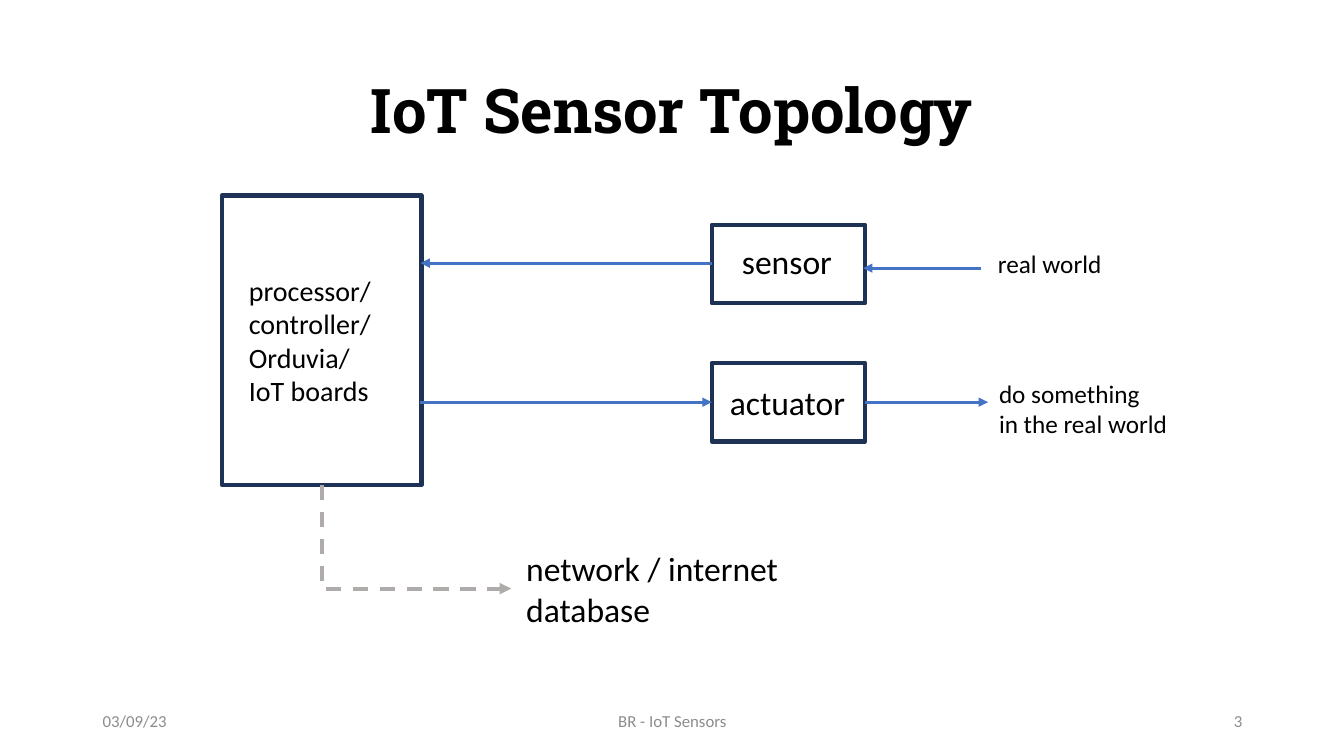
from lxml.etree import SubElement
from pptx import Presentation
from pptx.dml.color import RGBColor
from pptx.enum.dml import MSO_LINE
from pptx.enum.shapes import MSO_CONNECTOR, MSO_SHAPE
from pptx.enum.text import MSO_ANCHOR, MSO_AUTO_SIZE, PP_ALIGN
from pptx.oxml.ns import qn
from pptx.util import Inches, Pt

NAVY, BLUE, WARM, GREY = "1E3256", "4472C4", "AFABAB", "8C8C8C"


def paint(color, value):
    color.rgb = RGBColor.from_string(value)


def write(frame, lines, size, color="000000", font="Calibri",
          align=PP_ALIGN.LEFT, bold=False):
    for i, line in enumerate(lines):
        para = frame.add_paragraph() if i else frame.paragraphs[0]
        para.alignment = align
        run = para.add_run()
        run.text = line
        run.font.size = Pt(size)
        run.font.name = font
        run.font.bold = bold
        paint(run.font.color, color)


def add_title(slide, text):
    title = slide.shapes.title
    title.left, title.top = Inches(0.92), Inches(0.4)
    title.width, title.height = Inches(11.5), Inches(1.45)
    frame = title.text_frame
    frame.auto_size = MSO_AUTO_SIZE.NONE
    frame.vertical_anchor = MSO_ANCHOR.MIDDLE
    write(frame, [text], 44, font="Roboto Slab",
          align=PP_ALIGN.CENTER, bold=True)
    frame.paragraphs[0].line_spacing = 0.9


def add_box(slide, *place):
    box = slide.shapes.add_shape(MSO_SHAPE.RECTANGLE, *map(Inches, place))
    box.shadow.inherit = False
    box.fill.background()
    paint(box.line.color, NAVY)
    box.line.width = Pt(3)


def add_label(slide, place, lines, size):
    label = slide.shapes.add_textbox(*map(Inches, place))
    frame = label.text_frame
    frame.word_wrap = False
    frame.auto_size = MSO_AUTO_SIZE.SHAPE_TO_FIT_TEXT
    write(frame, lines, size)


def add_arrow(slide, ends, color=BLUE, width=2.25,
              kind=MSO_CONNECTOR.STRAIGHT):
    arrow = slide.shapes.add_connector(kind, *map(Inches, ends))
    paint(arrow.line.color, color)
    arrow.line.width = Pt(width)
    SubElement(arrow.line._get_or_add_ln(), qn("a:tailEnd"), type="triangle")
    SubElement(arrow._element.spPr, qn("a:effectLst"))
    return arrow


def add_elbow(slide, x1, y1, x2, y2):
    # The one-corner elbow lies on its side: its frame is turned by 270 degrees
    mid_x, mid_y = (x1 + x2) / 2, (y1 + y2) / 2
    half_w, half_h = (y2 - y1) / 2, (x2 - x1) / 2
    ends = (mid_x + half_w, mid_y - half_h, mid_x - half_w, mid_y + half_h)
    elbow = add_arrow(slide, ends, WARM, 2.75, MSO_CONNECTOR.ELBOW)
    elbow.line.dash_style = MSO_LINE.DASH
    props = elbow._element.spPr
    props.find(qn("a:xfrm")).set("rot", str(270 * 60000))
    props.find(qn("a:prstGeom")).set("prst", "bentConnector2")


def add_footer(slide, left, width, text, align):
    foot = slide.shapes.add_textbox(Inches(left), Inches(6.95),
                                    Inches(width), Inches(0.4))
    frame = foot.text_frame
    frame.word_wrap = True
    frame.vertical_anchor = MSO_ANCHOR.MIDDLE
    write(frame, [text], 12, GREY, align=align)


def main():
    deck = Presentation()
    deck.slide_width, deck.slide_height = Inches(13.33), Inches(7.5)
    slide = deck.slides.add_slide(deck.slide_layouts[5])
    add_title(slide, "IoT Sensor Topology")

    # Processor, sensor and actuator
    add_box(slide, 2.2, 1.94, 1.98, 2.87)
    for top in (2.23, 3.6):
        add_box(slide, 7.06, top, 1.52, 0.78)

    # Signal flow
    for ends in ((7.06, 2.61, 4.17, 2.61), (9.73, 2.66, 8.56, 2.66),
                 (4.17, 3.99, 7.06, 3.99), (8.58, 3.99, 9.8, 3.99)):
        add_arrow(slide, ends)
    add_elbow(slide, 3.19, 4.81, 5.07, 5.84)

    # Labels
    for place, lines, size in (
        ((2.37, 2.66, 1.46, 1.45),
         ["processor/", "controller/", "Orduvia/", "IoT boards"], 20),
        ((7.26, 2.34, 1.1, 0.5), ["sensor"], 24),
        ((7.14, 3.74, 1.36, 0.5), ["actuator"], 24),
        ((9.8, 2.41, 1.24, 0.4), ["real world"], 18),
        ((9.81, 3.7, 1.89, 0.71), ["do something", "in the real world"], 18),
        ((5.12, 5.39, 2.72, 0.91), ["network / internet", "database"], 24),
    ):
        add_label(slide, place, lines, size)

    # Footer
    add_footer(slide, 0.92, 3, "03/09/23", PP_ALIGN.LEFT)
    add_footer(slide, 4.42, 4.5, "BR - IoT Sensors", PP_ALIGN.CENTER)
    add_footer(slide, 9.42, 3, "3", PP_ALIGN.RIGHT)

    deck.save("out.pptx")


main()
